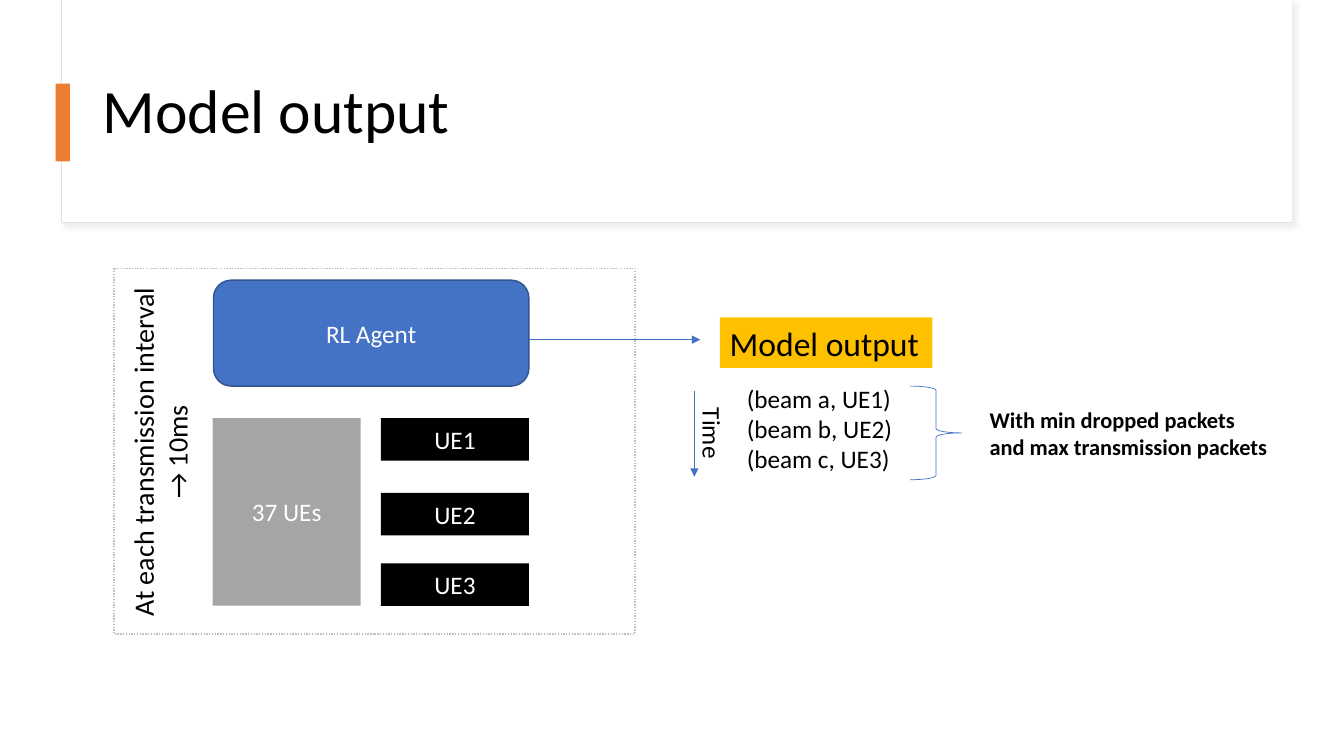
from lxml import etree
from pptx import Presentation
from pptx.dml.color import RGBColor
from pptx.enum.dml import MSO_LINE
from pptx.enum.shapes import MSO_CONNECTOR, MSO_SHAPE
from pptx.enum.text import MSO_ANCHOR, PP_ALIGN
from pptx.oxml import parse_xml
from pptx.oxml.ns import nsdecls, qn
from pptx.util import Cm, Pt

RECT, ROUND, BRACE = MSO_SHAPE.RECTANGLE, MSO_SHAPE.ROUNDED_RECTANGLE, MSO_SHAPE.RIGHT_BRACE
STRAIGHT, DOTTED = MSO_CONNECTOR.STRAIGHT, MSO_LINE.ROUND_DOT
TOP, MIDDLE = MSO_ANCHOR.TOP, MSO_ANCHOR.MIDDLE
LEFT, CENTER = PP_ALIGN.LEFT, PP_ALIGN.CENTER

FONT = "Calibri"
COLORS = {
    "white": "FFFFFF", "black": "000000", "border": "E1E1E1", "shadow": "D9D9D9",
    "accent": "ED7D31", "frame": "BFBFBF", "gray": "A5A5A5",
    "blue": "4472C4", "dark blue": "325491", "gold": "FFC000",
}

# Boxes are left, top, width, height in centimetres.
TITLE = "Model output"
INTERVAL = "At each transmission interval → 10ms"
NOTE = "With min dropped packets and max transmission packets"
PAIRS = ["(beam a, UE1)", "(beam b, UE2)", "(beam c, UE3)"]
POOL_BOX = (5.36, 10.54, 3.73, 4.72)
UE_TOPS = {"UE1": 10.54, "UE2": 12.42, "UE3": 14.2}
UE_LEFT, UE_HEIGHT = 9.6, 1.07
AGENT_BOX = (5.38, 7.06, 7.95, 2.67)
ARROWS = [(13.33, 8.56, 17.65, 8.56), (17.5, 9.86, 17.5, 12.01)]


def rgb(name):
    return RGBColor.from_string(COLORS[name])


def add_text(s, lines, size, color="black", align=LEFT, anchor=TOP, bold=False):
    tf = s.text_frame
    tf.word_wrap = True
    tf.vertical_anchor = anchor
    for i, line in enumerate(lines):
        p = tf.paragraphs[0] if i == 0 else tf.add_paragraph()
        p.alignment = align
        r = p.add_run()
        r.text = line
        r.font.name, r.font.size, r.font.bold = FONT, Pt(size), bold
        r.font.color.rgb = rgb(color)
    return s


def add_box(box, fill=None, line=None, width=1, kind=RECT):
    s = sp.add_shape(kind, *map(Cm, box))
    s.shadow.inherit = False
    if fill:
        s.fill.solid()
        s.fill.fore_color.rgb = rgb(fill)
    else:
        s.fill.background()
    if line:
        s.line.color.rgb = rgb(line)
        s.line.width = Pt(width)
    else:
        s.line.fill.background()
    return s


def add_label(box, lines, size, **style):
    return add_text(sp.add_textbox(*map(Cm, box)), lines, size, **style)


def add_arrow(ends):
    s = sp.add_connector(STRAIGHT, *map(Cm, ends))
    s.line.color.rgb = rgb("blue")
    s.line.width = Pt(0.5)
    etree.SubElement(s.line._get_or_add_ln(), qn("a:tailEnd"), type="triangle")
    etree.SubElement(s._element.spPr, qn("a:effectLst"))


def add_soft_shadow(s):
    effects = s._element.spPr.find(qn("a:effectLst"))
    effects.append(parse_xml(
        f'<a:outerShdw {nsdecls("a")} blurRad="{Pt(4)}" dist="{Pt(3)}" dir="2700000" '
        f'algn="tl" rotWithShape="0"><a:srgbClr val="{COLORS["shadow"]}">'
        '<a:alpha val="50000"/></a:srgbClr></a:outerShdw>'))


prs = Presentation()
prs.slide_width, prs.slide_height = Cm(33.87), Cm(19.05)
sp = prs.slides.add_slide(prs.slide_layouts[6]).shapes

# Header
add_soft_shadow(add_box((1.55, 0, 31.01, 5.61), "white", "border", 0.75))
add_box((1.57, 0, 30.99, 5.59), "white")
add_box((1.4, 2.11, 0.36, 1.96), "accent")
title = add_label((2.34, 1.02, 29.21, 3.68), [TITLE], 44, anchor=MIDDLE)
title.text_frame.paragraphs[0].line_spacing = 0.9

# Agent and user equipment
frame = add_box((2.87, 6.76, 13.13, 9.22), line="frame")
frame.line.dash_style = DOTTED
blocks = [(add_box(POOL_BOX, "gray"), "37 UEs")]
for name, top in UE_TOPS.items():
    blocks.append((add_box((UE_LEFT, top, POOL_BOX[2], UE_HEIGHT), "black"), name))
blocks.append((add_box(AGENT_BOX, "blue", "dark blue", kind=ROUND), "RL Agent"))
for block, name in blocks:
    add_text(block, [name], 18, "white", CENTER, MIDDLE)
interval = add_label((-0.58, 10.41, 9.22, 1.96), [INTERVAL], 20, align=CENTER)
interval.rotation = 270

# Output over time
for ends in ARROWS:
    add_arrow(ends)
add_label((18.57, 9.53, 4.93, 2.57), PAIRS, 18)
add_text(add_box((18.14, 8, 5.36, 1.27), "gold"), ["Model output"], 24, anchor=MIDDLE)
add_label((24.69, 10.11, 7.65, 1.63), [NOTE], 16, bold=True)
add_box((22.94, 9.73, 1.3, 2.36), line="blue", width=0.5, kind=BRACE)
time_label = add_label((17.2, 10.03, 1.27, 2.57), ["Time"], 18)
time_label.text_frame._txBody.bodyPr.set("vert", "vert")

prs.save("out.pptx")
